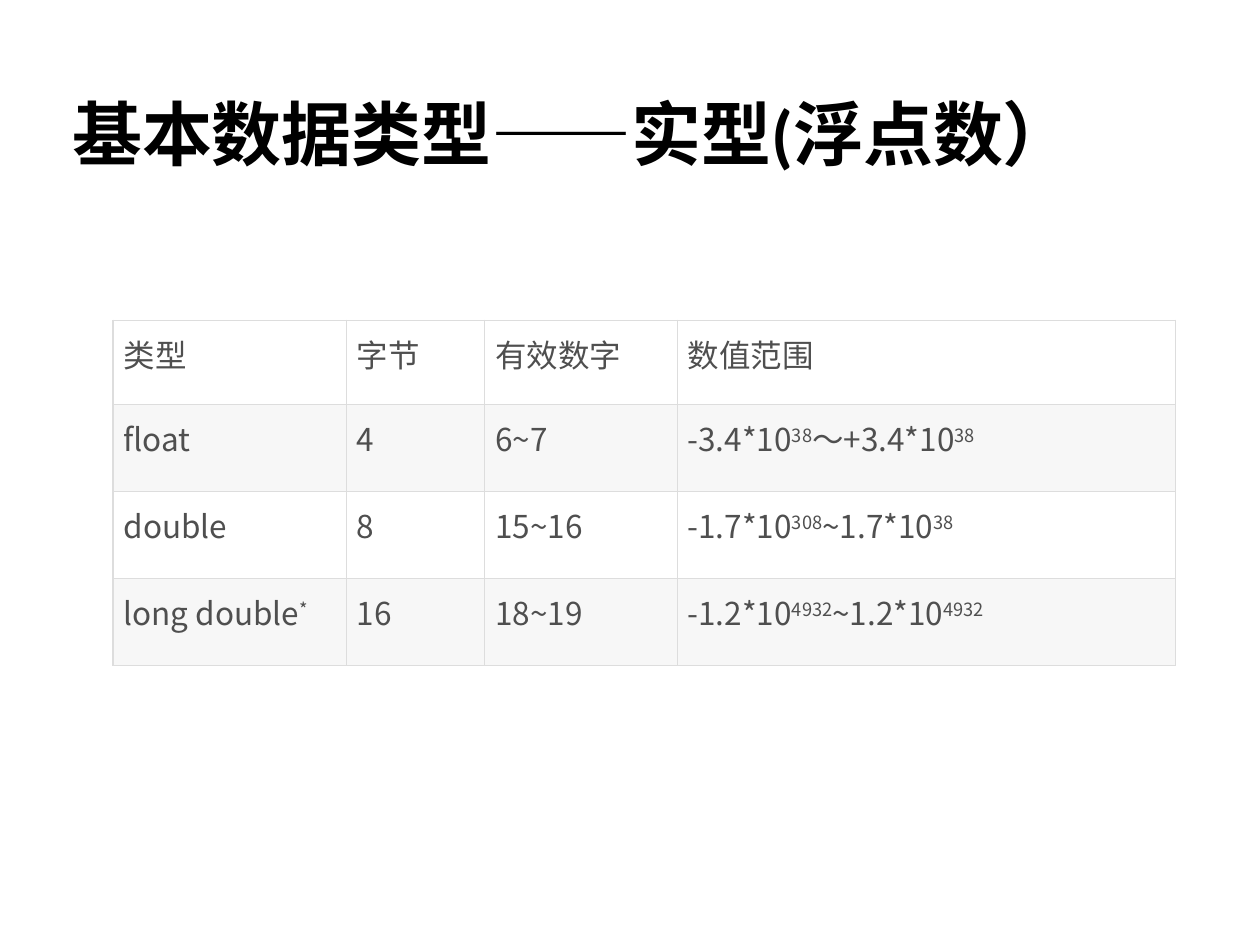
from dataclasses import dataclass

import pptx
import pptx.dml.color
import pptx.enum.text
import pptx.oxml
import pptx.oxml.ns
import pptx.util

Pt = pptx.util.Pt
RGB = pptx.dml.color.RGBColor.from_string


@dataclass(frozen=True)
class Theme:
    title_font: str = "Calibri"
    body_font: str = "Noto Sans CJK SC"
    title_size: int = 40
    body_size: int = 18
    title_color: str = "000000"
    body_color: str = "4F4F4F"
    bands: tuple = ("FFFFFF", "F7F7F7")
    border: str = "DDDDDD"


theme = Theme()


def add_borders(cell):
    """Draw a thin line on all four sides, placed before the cell's fill."""
    tcPr = cell._tc.get_or_add_tcPr()
    for i, side in enumerate(("lnL", "lnR", "lnT", "lnB")):
        tcPr.insert(i, pptx.oxml.parse_xml(
            f'<a:{side} {pptx.oxml.ns.nsdecls("a")} w="{Pt(0.75)}"><a:solidFill>'
            f'<a:srgbClr val="{theme.border}"/></a:solidFill></a:{side}>'))


prs = pptx.Presentation()
prs.slide_width, prs.slide_height = Pt(720), Pt(540)
s = prs.slides.add_slide(prs.slide_layouts[5])

# Title
title = s.shapes.title
title.left, title.top, title.width, title.height = Pt(34), Pt(34), Pt(652), Pt(70)
tf = title.text_frame
tf.text = "基本数据类型——实型(浮点数）"
tf.auto_size = pptx.enum.text.MSO_AUTO_SIZE.NONE
tf.vertical_anchor = pptx.enum.text.MSO_ANCHOR.BOTTOM
p = tf.paragraphs[0]
p.alignment = pptx.enum.text.PP_ALIGN.LEFT
p.line_spacing = 0.9
p.font.name = theme.title_font
p.font.size = Pt(theme.title_size)
p.font.bold = True
p.font.color.rgb = RGB(theme.title_color)

# Table of floating-point types; carets enclose superscripts
rows = [
    ("类型", "字节", "有效数字", "数值范围"),
    ("float", "4", "6~7", "-3.4*10^38^～+3.4*10^38^"),
    ("double", "8", "15~16", "-1.7*10^308^~1.7*10^38^"),
    ("long double^*^", "16", "18~19", "-1.2*10^4932^~1.2*10^4932^"),
]
col_widths = (133.2, 79.2, 110, 284.6)
row_heights = (48.2, 49.7, 49.7, 49.7)
table = s.shapes.add_table(len(rows), len(col_widths), Pt(64.6), Pt(183),
                           Pt(sum(col_widths)), Pt(sum(row_heights))).table
for col, width in zip(table.columns, col_widths):
    col.width = Pt(width)
for i, (row, height) in enumerate(zip(rows, row_heights)):
    table.rows[i].height = Pt(height)
    for j, text in enumerate(row):
        cell = table.cell(i, j)
        cell.margin_left = cell.margin_right = Pt(6)
        cell.margin_top = cell.margin_bottom = Pt(6)
        cell.fill.solid()
        cell.fill.fore_color.rgb = RGB(theme.bands[i % 2])
        add_borders(cell)
        p = cell.text_frame.paragraphs[0]
        p.font.name = theme.body_font
        p.font.size = Pt(theme.body_size)
        p.font.bold = False
        p.font.color.rgb = RGB(theme.body_color)
        for k, part in enumerate(text.split("^")):
            if part:
                r = p.add_run()
                r.text = part
                if k % 2:
                    r.font._element.set("baseline", "30000")

prs.save("out.pptx")
